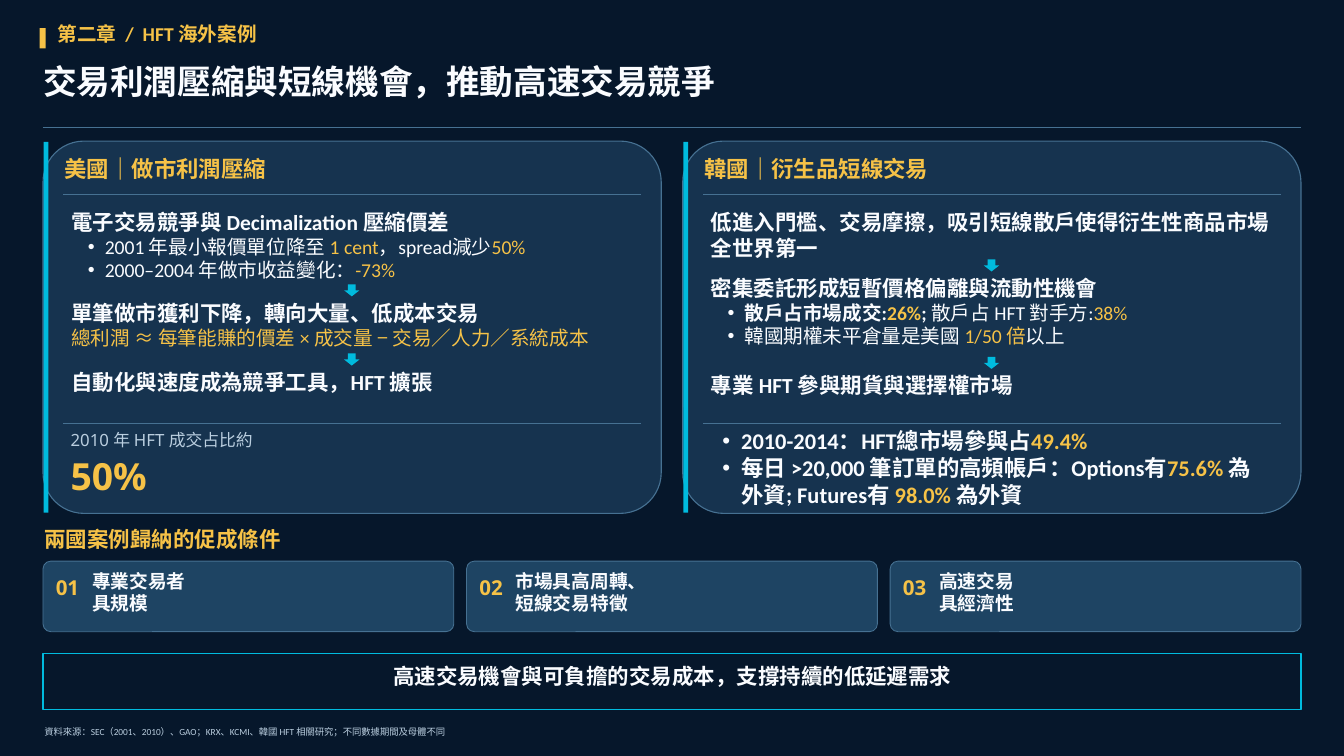
from lxml import etree
from pptx import Presentation
from pptx.dml.color import RGBColor
from pptx.enum.shapes import MSO_CONNECTOR, MSO_SHAPE
from pptx.enum.text import PP_ALIGN
from pptx.oxml.ns import qn
from pptx.util import Inches, Pt

RECT = MSO_SHAPE.RECTANGLE
ROUND = MSO_SHAPE.ROUNDED_RECTANGLE
DOWN = MSO_SHAPE.DOWN_ARROW
LINE = MSO_CONNECTOR.STRAIGHT
LEFT, CENTER = PP_ALIGN.LEFT, PP_ALIGN.CENTER

COLORS = {
    "navy": "06172B",
    "panel": "16334F",
    "card": "1E4463",
    "edge": "467192",
    "cyan": "00BBDE",
    "gold": "F6C247",
    "white": "FAFCFF",
    "mist": "BACEDF",
}
HEAD = {"size": 23, "bold": True}
ITEM = {"size": 21, "indent": 0.5, "hang": 0.25}
BOLD_ITEM = {**ITEM, "bold": True}
BIG_ITEM = {"size": 24, "bold": True, "indent": 0.57, "hang": 0.28}


def color(name):
    return RGBColor.from_string(COLORS[name])


def add_line(para, text, size=23, tint="white", bold=False, font="Calibri",
             align=LEFT, indent=0, hang=0):
    # "*" switches to gold and back, "|" ends bold
    if hang:
        props = para._p.get_or_add_pPr()
        props.set("marL", str(Inches(indent)))
        props.set("indent", str(-Inches(hang)))
        face = etree.SubElement(props, qn("a:buFont"))
        face.set("typeface", "Arial")
        etree.SubElement(props, qn("a:buChar")).set("char", "•")
        para.level = 1
    para.alignment = align
    para.line_spacing = Pt(size * 1.2)
    for part, chunk in enumerate(text.split("|")):
        for turn, words in enumerate(chunk.split("*")):
            if not words:
                continue
            run = para.add_run()
            run.text = words
            run.font.name = font
            run.font.size = Pt(size)
            run.font.bold = bold and part == 0
            run.font.color.rgb = color("gold" if turn % 2 else tint)


def add_text(slide, box, text, **style):
    frame = slide.shapes.add_textbox(*map(Inches, box)).text_frame
    frame.word_wrap = True
    frame.margin_left = frame.margin_right = 0
    frame.margin_top = frame.margin_bottom = 0
    lines = [(text, {})] if isinstance(text, str) else text
    for index, (words, extra) in enumerate(lines):
        para = frame.add_paragraph() if index else frame.paragraphs[0]
        add_line(para, words, **{**style, **extra})


def add_box(slide, kind, box, fill, edge=None, width=1.0):
    shape = slide.shapes.add_shape(kind, *map(Inches, box))
    shape.shadow.inherit = False
    shape.fill.solid()
    shape.fill.fore_color.rgb = color(fill)
    if edge:
        shape.line.color.rgb = color(edge)
        shape.line.width = Pt(width)
    else:
        shape.line.fill.background()
    if kind == ROUND:
        shape.adjustments[0] = 0.11


def add_rule(slide, left, top, width):
    rule = slide.shapes.add_connector(
        LINE, Inches(left), Inches(top), Inches(left + width), Inches(top))
    rule.line.color.rgb = color("edge")
    rule.line.width = Pt(0.75)
    etree.SubElement(rule._element.spPr, qn("a:effectLst"))


def header(slide, left, top, width):
    add_box(slide, RECT, (left - 0.05, top + 0.1, 0.09, 0.3), "gold")
    add_text(slide, (left + 0.22, top, 10, 0.47), "第二章  /  HFT 海外案例",
             size=21, tint="gold", bold=True)
    add_text(slide, (left, top + 0.59, width, 0.75),
             "交易利潤壓縮與短線機會，推動高速交易競爭", size=36, bold=True)
    add_rule(slide, left, top + 1.57, width)


def panel(slide, left, top, width, height, title, steps):
    add_box(slide, ROUND, (left, top, width, height), "panel", "edge", 1.2)
    add_box(slide, RECT, (left + 0.01, top + 0.01, 0.07, height - 0.02), "cyan")
    add_text(slide, (left + 0.32, top + 0.21, width - 0.62, 0.47), title,
             size=24, tint="gold", bold=True)
    for drop in (0.79, 4.2):
        add_rule(slide, left + 0.3, top + drop, width - 0.6)
    for index, (drop, high, lines) in enumerate(steps):
        if index:
            add_box(slide, DOWN,
                    (left + 4.48, top + drop - 0.23, 0.23, 0.18), "cyan")
        add_text(slide, (left + 0.42, top + drop, width - 0.84, high), lines)


def stat(slide, left, top, width):
    add_text(slide, (left, top, width, 0.28), "2010 年 HFT 成交占比約",
             size=18, tint="mist", font="Noto Sans")
    add_text(slide, (left, top + 0.34, 1.3, 0.66), "50%",
             size=40, tint="gold", bold=True, font="Noto Sans")


def card(slide, left, top, width, height, number, lines):
    add_box(slide, ROUND, (left, top, width, height), "card", "edge", 0.9)
    add_text(slide, (left + 0.19, top + 0.2, 0.48, 0.43), number,
             size=22, tint="gold", bold=True, font="Noto Sans")
    add_text(slide, (left + 0.73, top + 0.13, width - 0.9, 0.79),
             [(line, {}) for line in lines], size=20, bold=True)


def cards(slide, left, top, width, height, facts):
    add_text(slide, (left + 0.02, top - 0.52, 10, 0.45),
             "兩國案例歸納的促成條件", tint="gold", bold=True)
    gap = 0.19
    wide = (width - gap * (len(facts) - 1)) / len(facts)
    for index, lines in enumerate(facts):
        card(slide, left + index * (wide + gap), top, wide, height,
             f"{index + 1:02}", lines)


def footer(slide, left, top, width, height):
    add_box(slide, RECT, (left, top, width, height), "navy", "cyan", 1.3)
    add_text(slide, (left + 0.22, top + 0.14, width - 0.42, 0.52),
             "高速交易機會與可負擔的交易成本，支撐持續的低延遲需求",
             bold=True, align=CENTER)
    add_text(slide, (left + 0.02, top + 1.09, width - 0.17, 0.22),
             "資料來源：SEC（2001、2010）、GAO；KRX、KCMI、韓國 HFT 相關研究；不同數據期間及母體不同",
             size=10, tint="mist")


def main():
    deck = Presentation()
    deck.slide_width, deck.slide_height = Inches(20), Inches(11.25)
    slide = deck.slides.add_slide(deck.slide_layouts[6])
    slide.background.fill.solid()
    slide.background.fill.fore_color.rgb = color("navy")

    left, width = 0.64, 18.72
    top, wide, high = 2.1, 9.2, 5.54
    right = left + width - wide
    header(slide, left, 0.32, width)
    panel(slide, left, top, wide, high, "美國｜做市利潤壓縮", [
        (1.01, 1.11, [
            ("電子交易競爭與 Decimalization 壓縮價差", HEAD),
            ("2001 年最小報價單位降至 *1 cent*，spread減少*50%*", ITEM),
            ("2000–2004 年做市收益變化：*-73%*", ITEM)]),
        (2.36, 0.77, [
            ("單筆做市獲利下降，轉向大量、低成本交易", HEAD),
            ("總利潤 ≈ 每筆能賺的價差 × 成交量 − 交易／人力／系統成本",
             {"size": 21, "tint": "gold"})]),
        (3.39, 0.43, [("自動化與速度成為競爭工具，HFT 擴張", HEAD)]),
    ])
    stat(slide, left + 0.41, top + 4.3, 8.38)
    panel(slide, right, top, wide, high, "韓國｜衍生品短線交易", [
        (1.01, 0.8, [
            ("低進入門檻、交易摩擦，吸引短線散戶使得衍生性商品市場全世界第一", HEAD)]),
        (1.99, 1.11, [
            ("密集委託形成短暫價格偏離與流動性機會", HEAD),
            ("散戶占市場成交:*26%*; |散戶占 HFT 對手方:*38%*", BOLD_ITEM),
            ("韓國期權未平倉量是美國 *1/50 倍*以上", ITEM)]),
        (3.44, 0.43, [("專業 HFT 參與期貨與選擇權市場", HEAD)]),
    ])
    add_text(slide, (right + 0.3, top + 4.26, 8.21, 1.25), [
        ("2010-2014：HFT總市場參與占*49.4%*", BIG_ITEM),
        ("每日 >20,000 筆訂單的高頻帳戶：Options有*75.6%* 為外資; Futures有* 98.0%* 為外資",
         BIG_ITEM)])
    cards(slide, left, 8.35, width, 1.05, [
        ("專業交易者", "具規模"),
        ("市場具高周轉、", "短線交易特徵"),
        ("高速交易", "具經濟性"),
    ])
    footer(slide, left, 9.72, width, 0.84)
    deck.save("out.pptx")


if __name__ == "__main__":
    main()
